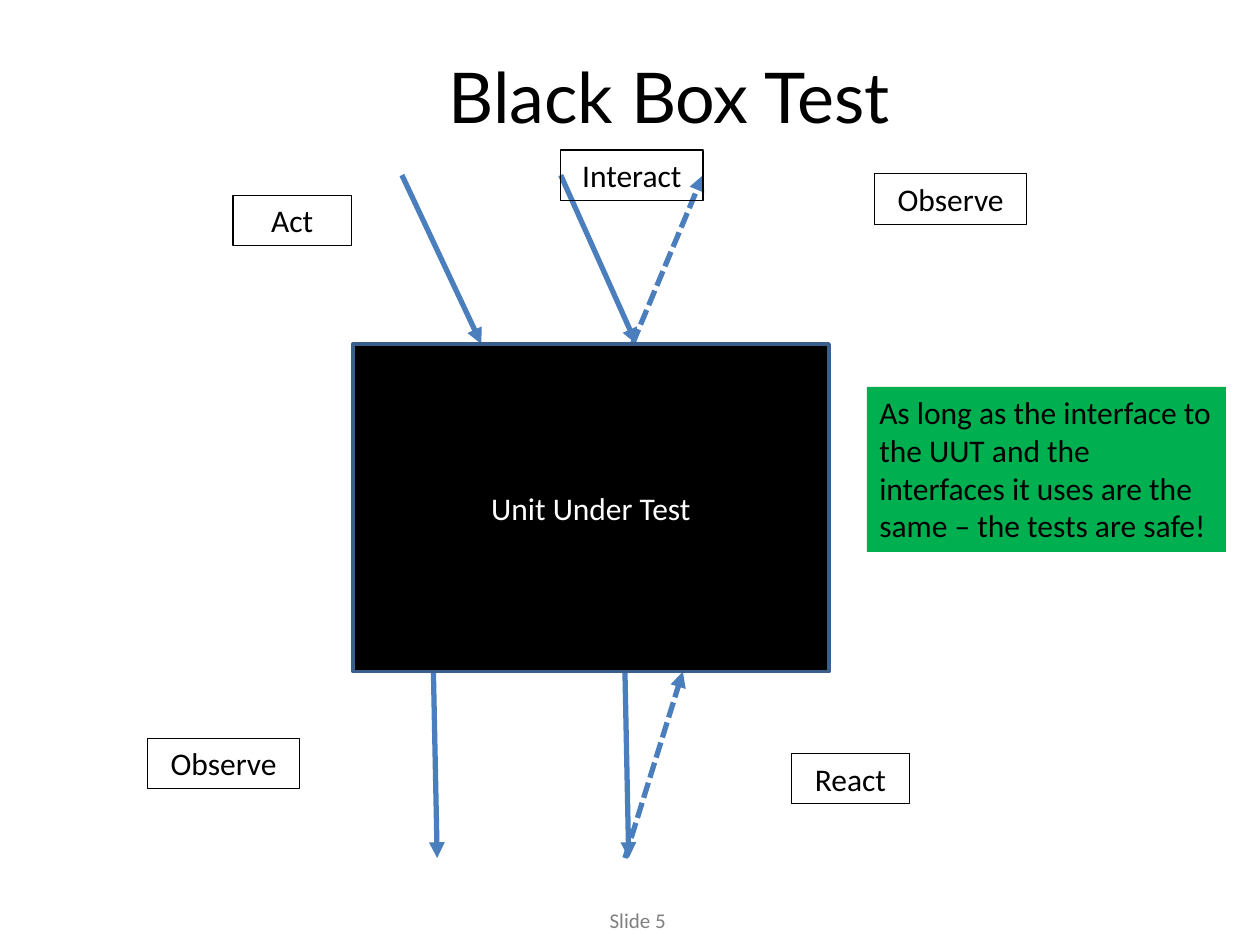
from lxml.etree import SubElement
from pptx import Presentation
from pptx.dml.color import RGBColor
from pptx.enum.dml import MSO_LINE
from pptx.enum.shapes import MSO_CONNECTOR, MSO_SHAPE
from pptx.enum.text import MSO_ANCHOR, PP_ALIGN
from pptx.oxml.ns import qn
from pptx.util import Inches, Pt

BLACK = RGBColor(0x00, 0x00, 0x00)
WHITE = RGBColor(0xFF, 0xFF, 0xFF)
GREY = RGBColor(0x80, 0x80, 0x80)
GREEN = RGBColor(0x00, 0xB0, 0x50)
ARROW_BLUE = RGBColor(0x4B, 0x7E, 0xBC)
BORDER_BLUE = RGBColor(0x3A, 0x5F, 0x8C)

presentation = Presentation()
presentation.slide_width = Inches(10)
presentation.slide_height = Inches(7.5)
slide = presentation.slides.add_slide(presentation.slide_layouts[6])
shapes = slide.shapes

# The slide is a grid of 100 columns by 75 rows
COL = presentation.slide_width / 100
ROW = presentation.slide_height / 75


def on_grid(x, y, *more):
    """Turn alternating columns and rows into slide lengths."""
    return [round(n * unit) for n, unit in zip((x, y, *more), (COL, ROW) * 2)]


def write(holder, text, font="Calibri", size=18, color=BLACK,
          align=PP_ALIGN.LEFT, anchor=MSO_ANCHOR.TOP, wrap=True):
    frame = holder.text_frame
    frame.word_wrap = wrap
    frame.vertical_anchor = anchor
    paragraph = frame.paragraphs[0]
    paragraph.alignment = align
    run = paragraph.add_run()
    run.text = text
    run.font.name = font
    run.font.size = Pt(size)
    run.font.color.rgb = color


slide_number = shapes.add_textbox(*on_grid(47.4, 71.5, 7.7, 3))
write(slide_number, "Slide 5", size=12, color=GREY, wrap=False)

title = shapes.add_textbox(*on_grid(8, 2.8, 90.2, 9.6))
write(title, "Black Box Test", font="Lato", size=40,
      align=PP_ALIGN.CENTER, anchor=MSO_ANCHOR.MIDDLE)

# Arrows run between the outer rows and the edges of the unit
INPUT, UNIT_TOP, UNIT_BOTTOM, OUTPUT = 13.9, 27.3, 53.3, 68.1
flows = {
    "act": (31.9, INPUT, 38.2, UNIT_TOP, False),
    "interact reply": (50.2, UNIT_TOP, 56, INPUT, True),
    "interact": (44.5, INPUT, 50.5, UNIT_TOP, False),
    "observe": (34.4, UNIT_BOTTOM, 34.7, OUTPUT, False),
    "react": (49.6, UNIT_BOTTOM, 49.9, OUTPUT, False),
    "react reply": (49.6, OUTPUT, 54.2, UNIT_BOTTOM, True),
}
arrows = {}
for flow, (x1, y1, x2, y2, dashed) in flows.items():
    arrow = shapes.add_connector(MSO_CONNECTOR.STRAIGHT, *on_grid(x1, y1, x2, y2))
    arrow.line.color.rgb = ARROW_BLUE
    arrow.line.width = Pt(3)
    if dashed:
        arrow.line.dash_style = MSO_LINE.SQUARE_DOT
    properties = arrow._element.spPr
    SubElement(properties.find(qn("a:ln")), qn("a:tailEnd"), type="triangle")
    SubElement(properties, qn("a:effectLst"))
    arrows[flow] = arrow

unit = shapes.add_shape(
    MSO_SHAPE.RECTANGLE, *on_grid(28, UNIT_TOP, 37.8, UNIT_BOTTOM - UNIT_TOP))
unit.shadow.inherit = False
unit.fill.solid()
unit.fill.fore_color.rgb = BLACK
unit.line.color.rgb = BORDER_BLUE
unit.line.width = Pt(2)
write(unit, "Unit Under Test", color=WHITE,
      align=PP_ALIGN.CENTER, anchor=MSO_ANCHOR.MIDDLE)

LABEL_HEIGHT = 4
for name, left, top, width in [
    ("Act", 18.5, 15.5, 9.4),
    ("Interact", 44.5, INPUT - LABEL_HEIGHT / 2, 11.3),
    ("React", 62.8, 59.8, 9.4),
    ("Observe", 69.4, 13.8, 12.1),
    ("Observe", 11.7, 58.6, 12.1),
]:
    label = shapes.add_textbox(*on_grid(left, top, width, LABEL_HEIGHT))
    label.line.color.rgb = BLACK
    label.line.width = Pt(0.75)
    write(label, name, align=PP_ALIGN.CENTER)
    if name == "Interact":
        arrows["interact"].begin_connect(label, 1)
        arrows["interact reply"].end_connect(label, 3)

safety_note = shapes.add_textbox(*on_grid(68.8, 30.7, 28.5, 13.1))
safety_note.fill.solid()
safety_note.fill.fore_color.rgb = GREEN
write(safety_note, "As long as the interface to the UUT and the interfaces "
                   "it uses are the same – the tests are safe!")

presentation.save("out.pptx")
